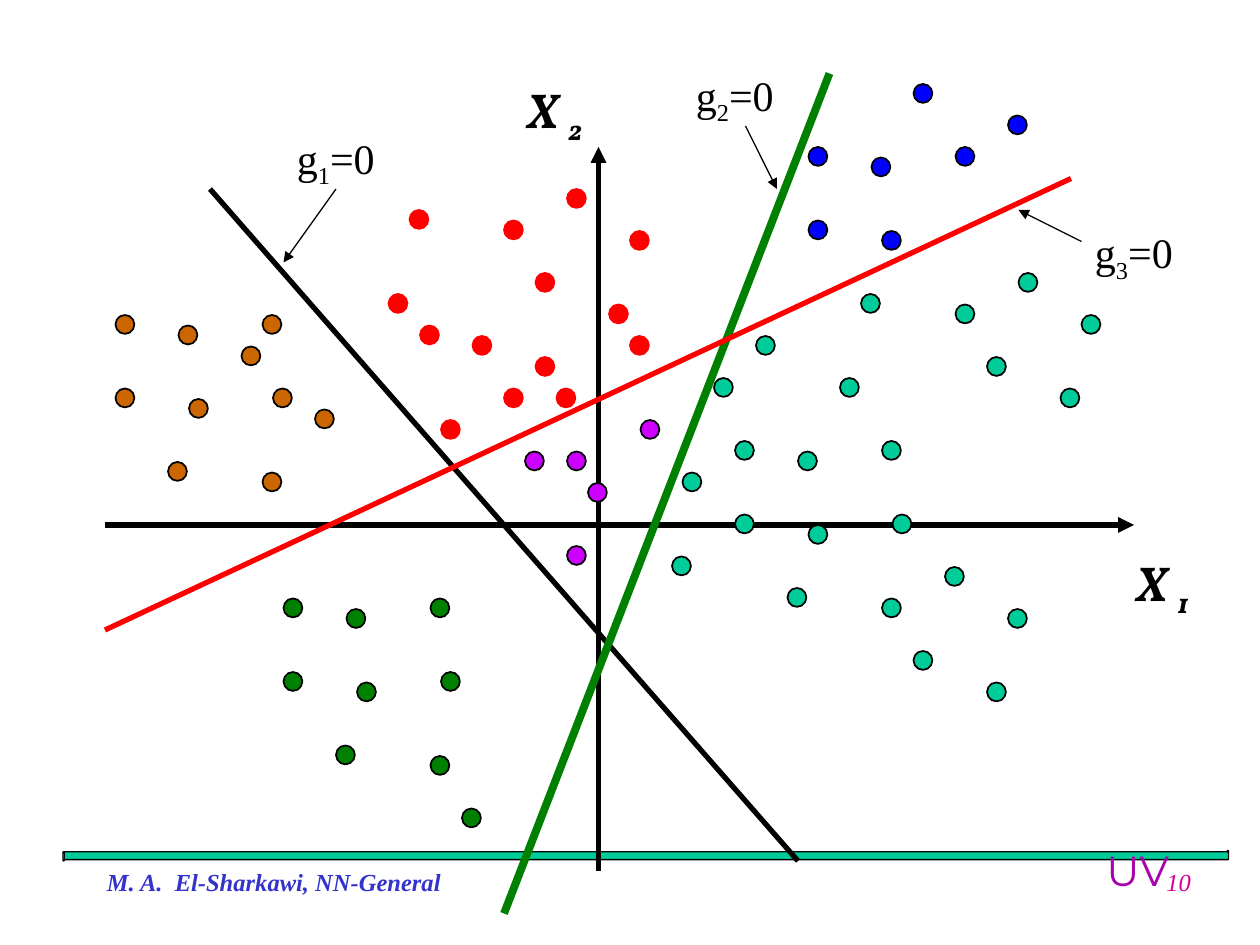
from dataclasses import dataclass

from lxml import etree
from pptx import Presentation
from pptx import util as u
from pptx.dml import color
from pptx.enum import shapes, text
from pptx.oxml import ns

CELL = 1 / 12  # inches; the slide is a grid of 120 columns and 90 rows
DOT = 0.15 / CELL
BLACK = "000000"

# Each class: fill, outline, and the (column, row) of every sample
CLASSES = [
    ("CC00FF", BLACK, [(56, 46), (61, 40), (50, 43), (54, 43), (54, 52)]),
    ("008000", BLACK, [(27, 57), (33, 58), (27, 64), (32, 71), (34, 65),
                       (41, 57), (42, 64), (44, 77), (41, 72)]),
    ("00CC99", BLACK, [(68, 36), (70, 42), (64, 53), (65, 45), (76, 43),
                       (70, 49), (75, 56), (77, 50), (84, 42), (85, 49),
                       (87, 62), (90, 54), (84, 57), (96, 58), (94, 65),
                       (72, 32), (80, 36), (82, 28), (94, 34), (97, 26),
                       (91, 29), (103, 30), (101, 37)]),
    ("0000FF", BLACK, [(77, 14), (83, 15), (77, 21), (84, 22), (91, 14),
                       (96, 11), (87, 8)]),
    ("FF0000", "FF0000", [(40, 31), (42, 40), (60, 32), (45, 32), (51, 34),
                          (48, 37), (53, 37), (37, 28), (39, 20), (51, 26),
                          (54, 18), (48, 21), (60, 22), (58, 29)]),
    ("CC6600", BLACK, [(30, 39), (23, 33), (11, 30), (17, 31), (11, 37),
                       (16, 44), (18, 38), (25, 30), (26, 37), (25, 45)]),
]

# Each boundary: index, line ends, colour, width, label corner, pointer ends
BOUNDARIES = [
    ("1", (20, 18), (76, 82), BLACK, 3, (27.1, 12), (32, 18), (27, 25)),
    ("2", (79, 7), (48, 87), "008000", 4.5, (65.1, 6), (71, 12), (74, 18)),
    ("3", (102, 17), (10, 60), "FF0000", 3, (103.1, 21), (103, 23), (97, 20)),
]


@dataclass
class Box:
    """An area of the slide, in columns and rows."""
    left: float
    top: float
    width: float
    height: float

    def inner(self, left, top, width, height):
        return Box(self.left + left, self.top + top, width, height)

    def point(self, column, row):
        return u.Inches((self.left + column) * CELL), u.Inches((self.top + row) * CELL)

    def frame(self):
        return (*self.point(0, 0), u.Inches(self.width * CELL), u.Inches(self.height * CELL))


def rgb(value):
    return color.RGBColor.from_string(value)


def add_child(parent, tag, **attributes):
    return etree.SubElement(parent, ns.qn(tag), attributes)


def add_filled_shape(parent, kind, box, fill, line, width):
    shape = parent.shapes.add_shape(kind, *box.frame())
    shape.shadow.inherit = False
    shape.fill.solid()
    shape.fill.fore_color.rgb = rgb(fill)
    shape.line.color.rgb = rgb(line)
    shape.line.width = u.Pt(width)
    return shape


def add_line(parent, box, start, end, line=BLACK, width=3, arrow=False):
    connector = parent.shapes.add_connector(
        shapes.MSO_CONNECTOR.STRAIGHT, *box.point(*start), *box.point(*end))
    connector.line.color.rgb = rgb(line)
    connector.line.width = u.Pt(width)
    properties = connector._element.spPr
    if arrow:
        add_child(properties.find(ns.qn("a:ln")), "a:tailEnd", type="triangle")
    add_child(properties, "a:effectLst")


def add_text(parent, box, runs, size, font="Times New Roman", fill=BLACK, bold=False,
             italic=False, align=None, wrap=True, fit=False, indent=0, before=0, outline=None):
    """Runs are plain strings; a run that is a tuple is a subscript."""
    shape = parent.shapes.add_textbox(*box.frame())
    frame = shape.text_frame
    frame.word_wrap = wrap
    frame.auto_size = (text.MSO_AUTO_SIZE.SHAPE_TO_FIT_TEXT if fit
                       else text.MSO_AUTO_SIZE.NONE)
    paragraph = frame.paragraphs[0]
    paragraph.alignment = align
    paragraph.space_before = u.Pt(before)
    if indent:
        paragraph._p.get_or_add_pPr().set("marL", str(u.Inches(indent)))
    for content in runs:
        run = paragraph.add_run()
        run.text = "".join(content)
        run.font.name, run.font.size = font, u.Pt(size)
        run.font.bold, run.font.italic = bold, italic
        run.font.color.rgb = rgb(fill)
        properties = run._r.get_or_add_rPr()
        if isinstance(content, tuple):
            properties.set("baseline", "-25000")
        if outline:
            line = add_child(properties, "a:ln", w=str(u.Pt(1)))
            add_child(add_child(line, "a:solidFill"), "a:srgbClr", val=outline)
            properties.insert(0, line)


def add_footer(slide, box):
    add_filled_shape(slide, shapes.MSO_SHAPE.HORIZONTAL_SCROLL, box.inner(0, 0, box.width, 1),
                     "00CC99", BLACK, 0.75)
    add_text(slide, box.inner(98.2, -1.2, 4.1, 4.2), ["UV"], 24, font="Montserrat",
             fill="A603AB", wrap=False, outline="EAEAEA")
    add_text(slide, box.inner(3, 1, 70, 6), ["M. A.  El-Sharkawi, NN-General"], 14,
             fill="3333CC", bold=True, italic=True)
    add_text(slide, box.inner(80, 1, 28.6, 6), ["10"], 14, fill="D60093", italic=True,
             align=text.PP_ALIGN.RIGHT)


def add_axes(slide, box):
    group = slide.shapes.add_group_shape()
    add_line(group, box, (10, 50), (108, 50), arrow=True)
    add_line(group, box, (57, 83), (57, 14), arrow=True)
    for index, corner in (("1", (101, 52)), ("2", (43, 7))):
        add_text(group, box.inner(*corner, 14.5, 7.6), ["X ", (index,)], 28, font="Vollkorn",
                 bold=True, italic=True, wrap=False, fit=True, indent=0.5, before=7)


def add_samples(slide, box, fill, line, samples):
    group = slide.shapes.add_group_shape()
    for column, row in samples:
        add_filled_shape(group, shapes.MSO_SHAPE.OVAL, box.inner(column, row, DOT, DOT),
                         fill, line, 1)


def add_boundary(slide, box, index, start, end, line, width, corner, tail, tip):
    group = slide.shapes.add_group_shape()
    add_line(group, box, start, end, line, width)
    add_text(group, box.inner(*corner, 9.8, 6.7), ["g", (index,), "=0"], 24,
             wrap=False, fit=True)
    add_line(group, box, tail, tip, width=0.75, arrow=True)


def main():
    presentation = Presentation()
    presentation.slide_width, presentation.slide_height = u.Inches(10), u.Inches(7.5)
    slide = presentation.slides.add_slide(presentation.slide_layouts[6])
    plot = Box(0, 0, 120, 90)
    add_footer(slide, Box(6, 81, 111, 9))
    add_axes(slide, plot)
    for sample_class in CLASSES:
        add_samples(slide, plot, *sample_class)
    for boundary in BOUNDARIES:
        add_boundary(slide, plot, *boundary)
    presentation.save("out.pptx")


if __name__ == "__main__":
    main()
